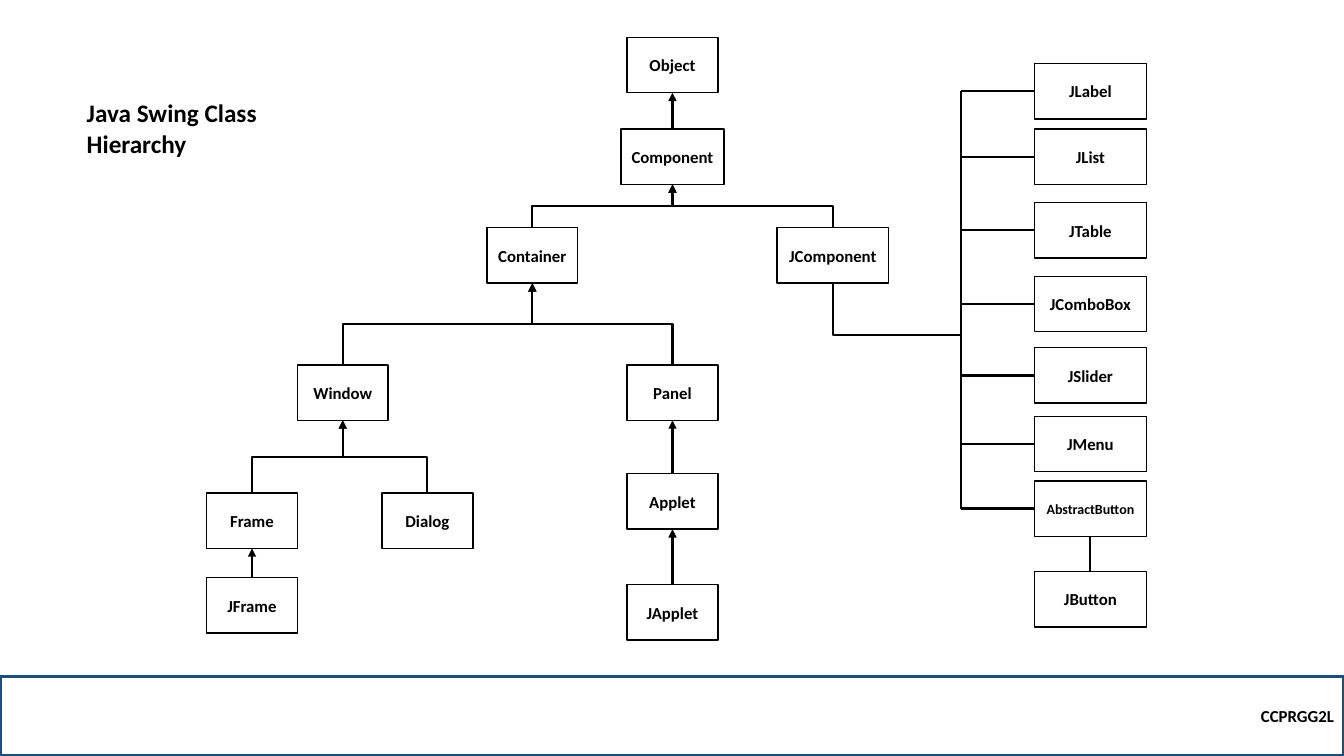
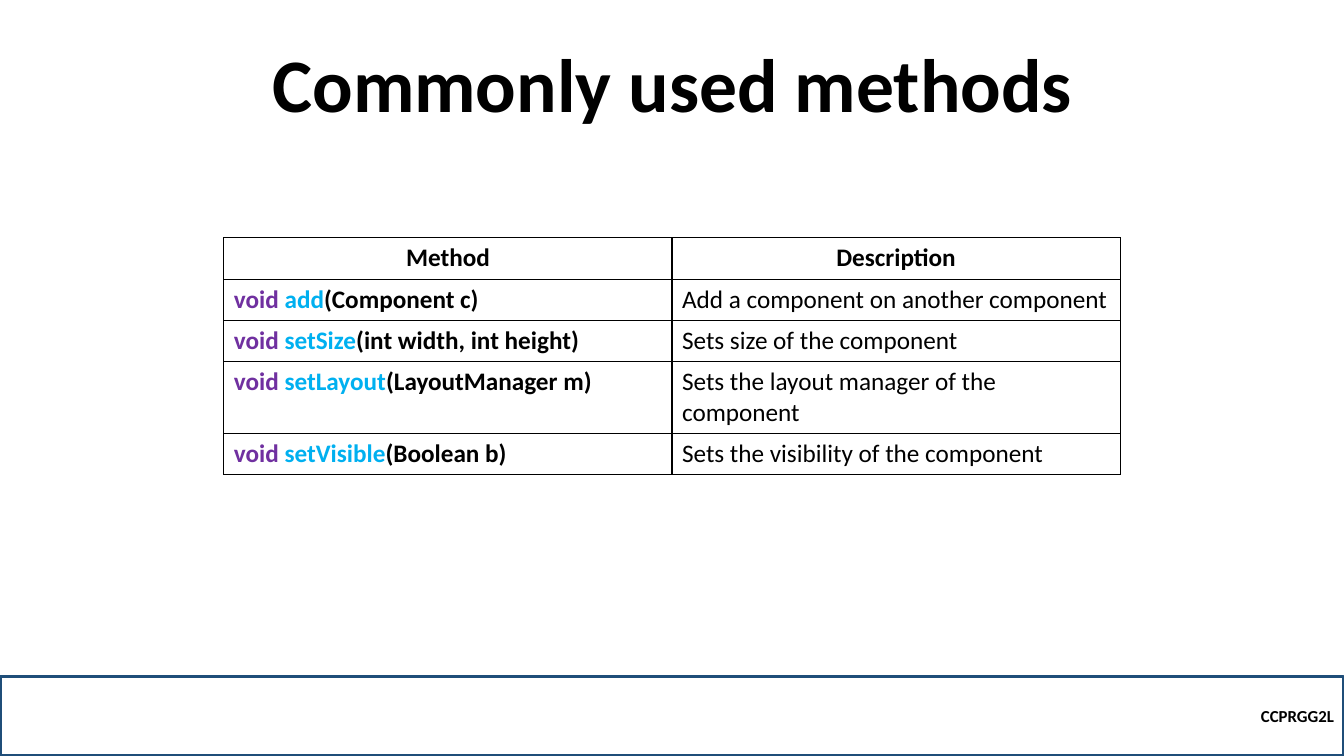
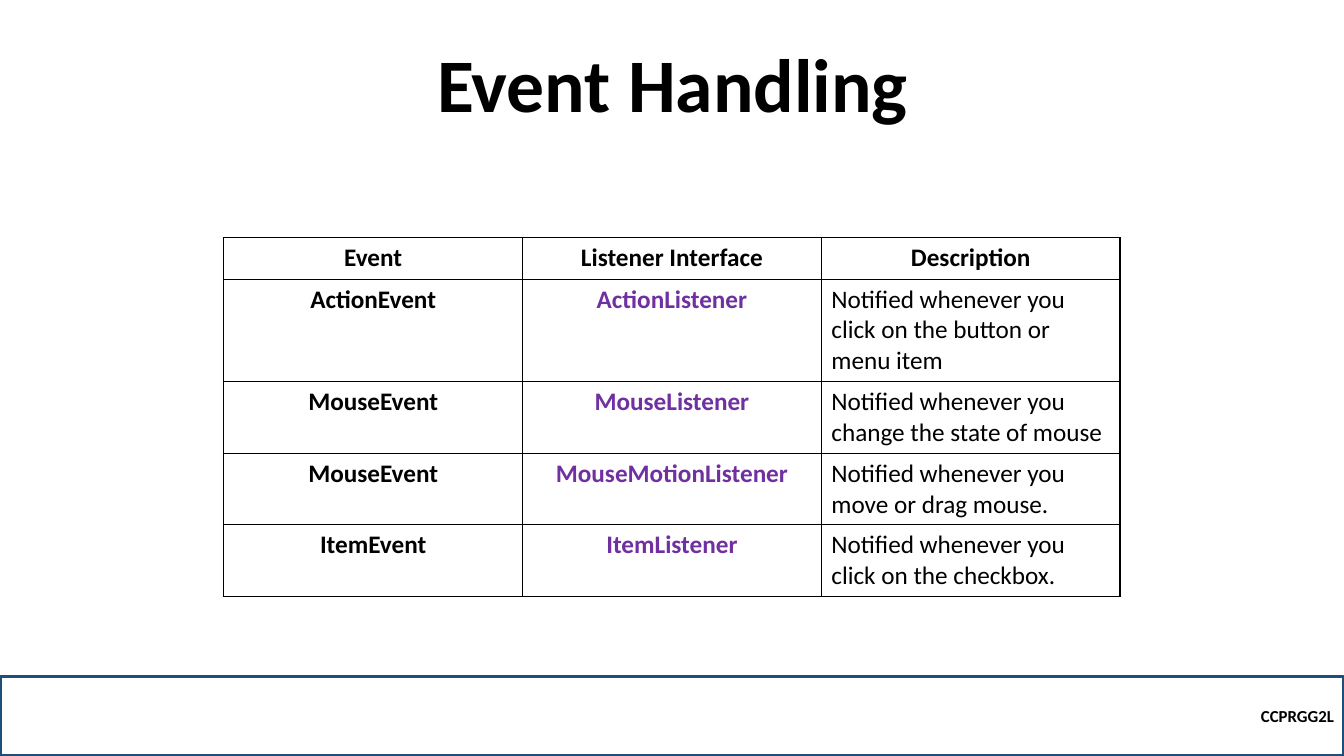
import pptx
import pptx.dml.color
import pptx.enum.shapes
import pptx.enum.text
import pptx.oxml.ns
import pptx.util
from lxml import etree

SLIDE_W, SLIDE_H = 13.33, 7.5
BLACK, WHITE, NAVY, PURPLE, SKY = "000000", "FFFFFF", "1F4E79", "7030A0", "00B0F0"
FONT = "Calibri"
BAND_TOP = 6.71
NODE_W, NODE_H, LEAF_W = 0.9, 0.55, 1.11
TOP, LEFT, BOTTOM = 0, 1, 2
ALIGN = pptx.enum.text.PP_ALIGN
ANCHOR = pptx.enum.text.MSO_ANCHOR
CONNECTOR = pptx.enum.shapes.MSO_CONNECTOR
INCH = pptx.util.Inches

HEADING = dict(box=(1.67, 0.54, 10, 0.79), size=54, align=ALIGN.CENTER,
               anchor=ANCHOR.BOTTOM, spacing=0.9)
CAPTION = dict(box=(0.76, 0.92, 2.93, 0.4), size=18, align=ALIGN.LEFT,
               anchor=ANCHOR.TOP, spacing=1.0)
TABLE_AT = (2.22, 2.36, 8.89)

# name: (centre, top, width, parent), measured from the corner of the tree
TREE = {
    "Object": (4.62, 0, NODE_W, None),
    "Component": (4.62, 0.91, 1.02, "Object"),
    "JComponent": (6.21, 1.89, LEAF_W, "Component"),
    "Container": (3.23, 1.89, NODE_W, "Component"),
    "Window": (1.35, 3.25, NODE_W, "Container"),
    "Panel": (4.62, 3.25, NODE_W, "Container"),
    "Frame": (0.45, 4.52, NODE_W, "Window"),
    "Dialog": (2.19, 4.52, NODE_W, "Window"),
    "Applet": (4.62, 4.33, NODE_W, "Panel"),
    "JFrame": (0.45, 5.36, NODE_W, "Frame"),
    "JApplet": (4.62, 5.43, NODE_W, "Applet"),
}
# name: top, measured from the top of the group
WIDGETS = {"JLabel": 0, "JList": 0.65, "JTable": 1.38, "JComboBox": 2.11,
           "JSlider": 2.82, "JMenu": 3.5, "AbstractButton": 4.14}
JBUTTON_TOP = 5.04

METHODS = [
    ("add", "(Component c)", "Add a component on another component"),
    ("setSize", "(int width, int height)", "Sets size of the component"),
    ("setLayout", "(LayoutManager m)", "Sets the layout manager of the component"),
    ("setVisible", "(Boolean b)", "Sets the visibility of the component"),
]
EVENTS = [
    ("ActionEvent", "ActionListener", "Notified whenever you click on the button or menu item"),
    ("MouseEvent", "MouseListener", "Notified whenever you change the state of mouse"),
    ("MouseEvent", "MouseMotionListener", "Notified whenever you move or drag mouse."),
    ("ItemEvent", "ItemListener", "Notified whenever you click on the checkbox."),
]


def rgb(color):
    return pptx.dml.color.RGBColor.from_string(color)


def sub(parent, tag, **attrs):
    return etree.SubElement(parent, pptx.oxml.ns.qn(tag), attrs)


def write(tf, runs, size, align, spacing=None):
    """Fill one paragraph with (text, colour, bold) runs."""
    p = tf.paragraphs[0]
    p.alignment = align
    if spacing:
        p.line_spacing = spacing
    for text, color, bold in runs:
        r = p.add_run()
        r.text = text
        r.font.color.rgb = rgb(color)
        for name, value in dict(name=FONT, size=pptx.util.Pt(size), bold=bold).items():
            setattr(r.font, name, value)


def add_box(s, box, text, line, width, size=12, align=ALIGN.CENTER, fill=None):
    sp = s.shapes.add_shape(pptx.enum.shapes.MSO_SHAPE.RECTANGLE, *map(INCH, box))
    sp.shadow.inherit = False
    if fill:
        sp.fill.solid()
        sp.fill.fore_color.rgb = rgb(fill)
    else:
        sp.fill.background()
    sp.line.color.rgb = rgb(line)
    sp.line.width = pptx.util.Pt(width)
    sp.text_frame.word_wrap = False
    sp.text_frame.vertical_anchor = ANCHOR.MIDDLE
    write(sp.text_frame, [(text, BLACK, True)], size, align)
    return sp


def add_node(s, x, y, w, name, size=12):
    return add_box(s, (x, y, w, NODE_H), name, BLACK, 1, size, fill=WHITE)


def add_link(s, kind, start=(0, 0), end=(0, 0), begin_at=None, end_at=None, arrow=False):
    """Connect two points, or the (shape, side) pairs that replace them."""
    c = s.shapes.add_connector(kind, *map(INCH, (*start, *end)))
    if begin_at:
        c.begin_connect(*begin_at)
    if end_at:
        c.end_connect(*end_at)
    c.line.color.rgb = rgb(BLACK)
    c.line.width = pptx.util.Pt(1.5)
    if arrow:
        sub(c.line._get_or_add_ln(), "a:tailEnd", type="triangle")
    sub(c._element.spPr, "a:effectLst")
    return c


def stand_upright(c):
    """Turn an elbow so that it leaves and arrives vertically, going up."""
    x1, y1, x2, y2 = c.begin_x, c.begin_y, c.end_x, c.end_y
    w, h = abs(y2 - y1), abs(x2 - x1)
    frame = dict(left=(x1 + x2 - w) // 2, top=(y1 + y2 - h) // 2, width=w, height=h)
    for name, value in frame.items():
        setattr(c, name, value)
    turn = dict(rot="5400000", flipH="1", flipV="1" if x2 > x1 else "0")
    for name, value in turn.items():
        c._element.spPr.xfrm.set(name, value)


def add_class_tree(s, x, y):
    nodes = {name: add_node(s, x + cx - w / 2, y + top, w, name)
             for name, (cx, top, w, _) in TREE.items()}
    for name, (cx, _, _, parent) in TREE.items():
        if parent is None:
            continue
        straight = cx == TREE[parent][0]
        c = add_link(s, CONNECTOR.STRAIGHT if straight else CONNECTOR.ELBOW,
                     begin_at=(nodes[name], TOP), end_at=(nodes[parent], BOTTOM), arrow=True)
        if not straight:
            stand_upright(c)
    return nodes


def add_widgets(s, x, y, parent):
    """Stack the widgets beside a trunk at x, and tie the trunk to the parent."""
    node_x = x + 0.73
    mids = [y + top + NODE_H / 2 for top in WIDGETS.values()]
    add_link(s, CONNECTOR.STRAIGHT, (x, mids[0]), (x, mids[-1]))
    for (name, top), mid in zip(WIDGETS.items(), mids):
        size = 10 if name == "AbstractButton" else 12
        node = add_node(s, node_x, y + top, LEAF_W, name, size)
        add_link(s, CONNECTOR.STRAIGHT, end=(x, mid), begin_at=(node, LEFT))
    button = add_node(s, node_x, y + JBUTTON_TOP, LEAF_W, "JButton")
    add_link(s, CONNECTOR.STRAIGHT, begin_at=(button, TOP), end_at=(node, BOTTOM))
    c = add_link(s, CONNECTOR.ELBOW, (x, y + 2.69), (x, y), end_at=(parent, BOTTOM))
    c._element.spPr.find(pptx.oxml.ns.qn("a:prstGeom")).set("prst", "bentConnector2")


def format_cell(cell, runs, align):
    tc_pr = cell._tc.get_or_add_tcPr()
    for side in ("a:lnL", "a:lnR", "a:lnT", "a:lnB"):
        ln = sub(tc_pr, side, w="12700")
        sub(sub(ln, "a:solidFill"), "a:srgbClr", val=BLACK)
    cell.fill.background()
    write(cell.text_frame, runs, 18, align)


def add_grid(s, x, y, w, header, rows):
    """Draw a table; each body cell is (runs, alignment)."""
    head = [([(text, BLACK, True)], ALIGN.CENTER) for text in header]
    rows = [head, *rows]
    row_h = 0.41
    table = s.shapes.add_table(len(rows), len(header),
                               *map(INCH, (x, y, w, row_h * len(rows)))).table
    table.first_row = table.horz_banding = False
    for i, row in enumerate(rows):
        for j, (runs, align) in enumerate(row):
            format_cell(table.cell(i, j), runs, align)


def add_slide(prs, title, box, size, align, anchor, spacing):
    s = prs.slides.add_slide(prs.slide_layouts[5])
    sp = s.shapes.title
    for name, value in zip(("left", "top", "width", "height"), box):
        setattr(sp, name, INCH(value))
    tf = sp.text_frame
    frame = dict(word_wrap=True, vertical_anchor=anchor,
                 auto_size=pptx.enum.text.MSO_AUTO_SIZE.NONE)
    for name, value in frame.items():
        setattr(tf, name, value)
    write(tf, [(title, BLACK, True)], size, align, spacing)
    add_box(s, (0, BAND_TOP, SLIDE_W, SLIDE_H - BAND_TOP), "CCPRGG2L", NAVY, 2.25,
            align=ALIGN.RIGHT)
    return s


def hierarchy_slide(prs):
    s = add_slide(prs, "Java Swing Class Hierarchy", **CAPTION)
    nodes = add_class_tree(s, 2.05, 0.37)
    add_widgets(s, 9.53, 0.63, nodes["JComponent"])


def methods_slide(prs):
    s = add_slide(prs, "Commonly used methods", **HEADING)
    rows = [[([("void ", PURPLE, True), (name, SKY, True), (args, BLACK, True)], ALIGN.LEFT),
             ([(text, BLACK, False)], ALIGN.LEFT)] for name, args, text in METHODS]
    add_grid(s, *TABLE_AT, ["Method", "Description"], rows)


def events_slide(prs):
    s = add_slide(prs, "Event Handling", **HEADING)
    rows = [[([(event, BLACK, True)], ALIGN.CENTER),
             ([(listener, PURPLE, True)], ALIGN.CENTER),
             ([(text, BLACK, False)], ALIGN.LEFT)] for event, listener, text in EVENTS]
    add_grid(s, *TABLE_AT, ["Event", "Listener Interface", "Description"], rows)


def main():
    prs = pptx.Presentation()
    prs.slide_width, prs.slide_height = INCH(SLIDE_W), INCH(SLIDE_H)
    hierarchy_slide(prs)
    methods_slide(prs)
    events_slide(prs)
    prs.save("out.pptx")


if __name__ == "__main__":
    main()
